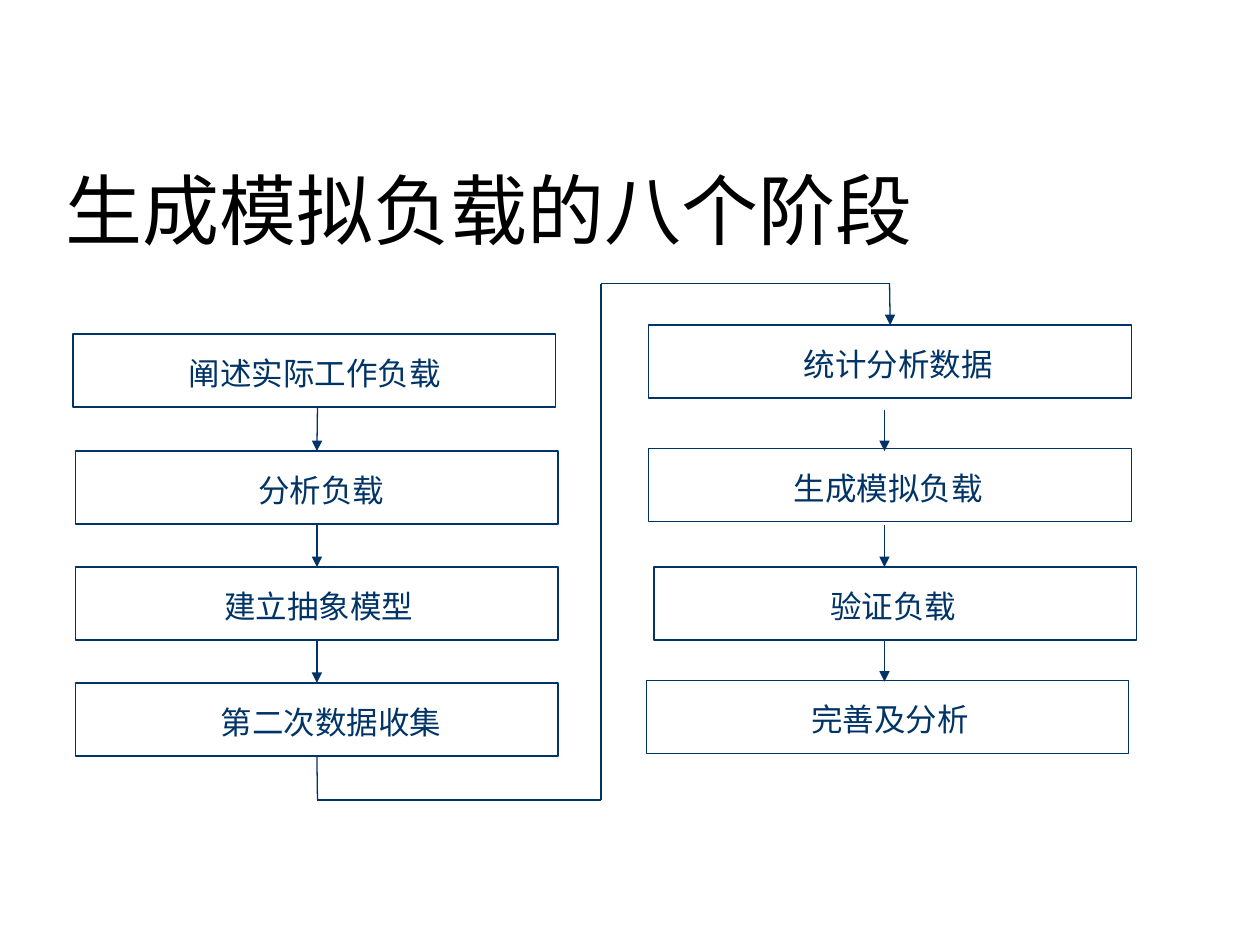
from pptx import Presentation
from pptx.dml.color import RGBColor
from pptx.enum.shapes import MSO_CONNECTOR as Conn, MSO_SHAPE as Shape
from pptx.enum.text import MSO_ANCHOR as Anchor, MSO_AUTO_SIZE as Fit, PP_ALIGN as Align
from pptx.oxml.ns import qn
from pptx.util import Inches, Pt
from lxml.etree import SubElement as Sub

COLORS = {"ink": "003366", "title": "000000", "back": "FFFFFF"}
BOX_W, BOX_H = 3.83, 0.58
TOP, LEFT, BOTTOM, RIGHT = 0, 1, 2, 3


def color(name):
    return RGBColor.from_string(COLORS[name])


def add_run(para, text, size, font, tint):
    run = para.add_run()
    run.text = text
    run.font.size = Pt(size)
    run.font.name = font
    run.font.color.rgb = color(tint)


def add_title(slide, text, x, y, w, h):
    title = slide.shapes.title
    title.left, title.top, title.width, title.height = map(Inches, (x, y, w, h))
    frame = title.text_frame
    frame.auto_size = Fit.NONE
    frame.vertical_anchor = Anchor.BOTTOM
    para = frame.paragraphs[0]
    para.alignment = Align.LEFT
    para.line_spacing = 0.9
    add_run(para, text, 44, "Arial", "title")


def add_step(slide, text, x, y, shift, align):
    box = slide.shapes.add_shape(
        Shape.RECTANGLE, Inches(x), Inches(y), Inches(BOX_W), Inches(BOX_H))
    box.shadow.inherit = False
    box.fill.background()
    box.line.color.rgb = color("ink")
    box.line.width = Pt(0.75)

    width = 0.2 + 0.25 * len(text)
    label = slide.shapes.add_textbox(
        Inches(x + shift), Inches(y + 0.11), Inches(width), Inches(0.4))
    frame = label.text_frame
    frame.word_wrap = False
    frame.auto_size = Fit.SHAPE_TO_FIT_TEXT
    para = frame.paragraphs[0]
    para.alignment = align
    add_run(para, text, 18, "Times New Roman", "ink")
    return box


def add_column(slide, x, y, steps, align):
    return [add_step(slide, text, x + dx, y + dy, shift, align)
            for text, dx, dy, shift in steps]


def add_line(slide, start, end, arrow=False, tail=None, head=None):
    line = slide.shapes.add_connector(
        Conn.STRAIGHT, *map(Inches, start), *map(Inches, end))
    if tail:
        line.begin_connect(tail, BOTTOM)
    if head:
        line.end_connect(head, TOP)
    line.line.color.rgb = color("ink")
    line.line.width = Pt(0.75)
    props = line._element.spPr
    if arrow:
        Sub(props.find(qn("a:ln")), qn("a:tailEnd"), type="triangle")
    Sub(props, qn("a:effectLst"))


def add_links(slide, first, second):
    x = 2.52
    add_line(slide, (x, 3.23), (x, 3.58), True, head=first[1])
    for above, below in zip(first[1:], first[2:]):
        add_line(slide, (x, 4.16), (x, 4.5), True, above, below)
    for y in (3.25, 4.17, 5.08):
        add_line(slide, (7.02, y), (7.02, y + 0.33), True)

    low, high, mid, end = 6.35, 2.25, 4.77, 7.06
    add_line(slide, (x, 6), (x, low), tail=first[-1])
    add_line(slide, (x, low), (mid, low))
    add_line(slide, (mid, low), (mid, high))
    add_line(slide, (mid, high), (end, high))
    add_line(slide, (end, high), (end, 2.58), True, head=second[0])


def main():
    deck = Presentation()
    deck.slide_width, deck.slide_height = Inches(10), Inches(7.5)
    slide = deck.slides.add_slide(deck.slide_layouts[5])
    slide.background.fill.solid()
    slide.background.fill.fore_color.rgb = color("back")
    add_title(slide, "生成模拟负载的八个阶段", 0.42, 0.83, 8.75, 1.25)
    first = add_column(slide, 0.6, 2.65, [
        ("阐述实际工作负载", -0.02, 0, 0.82),
        ("分析负载", 0, 0.93, 1.35),
        ("建立抽象模型", 0, 1.85, 1.08),
        ("第二次数据收集", 0, 2.77, 1.05),
    ], Align.CENTER)
    second = add_column(slide, 5.15, 2.58, [
        ("统计分析数据", 0, 0, 1.13),
        ("生成模拟负载", 0, 0.98, 1.05),
        ("验证负载", 0.04, 1.92, 1.3),
        ("完善及分析", -0.02, 2.82, 1.21),
    ], Align.LEFT)
    add_links(slide, first, second)
    deck.save("out.pptx")


if __name__ == "__main__":
    main()
